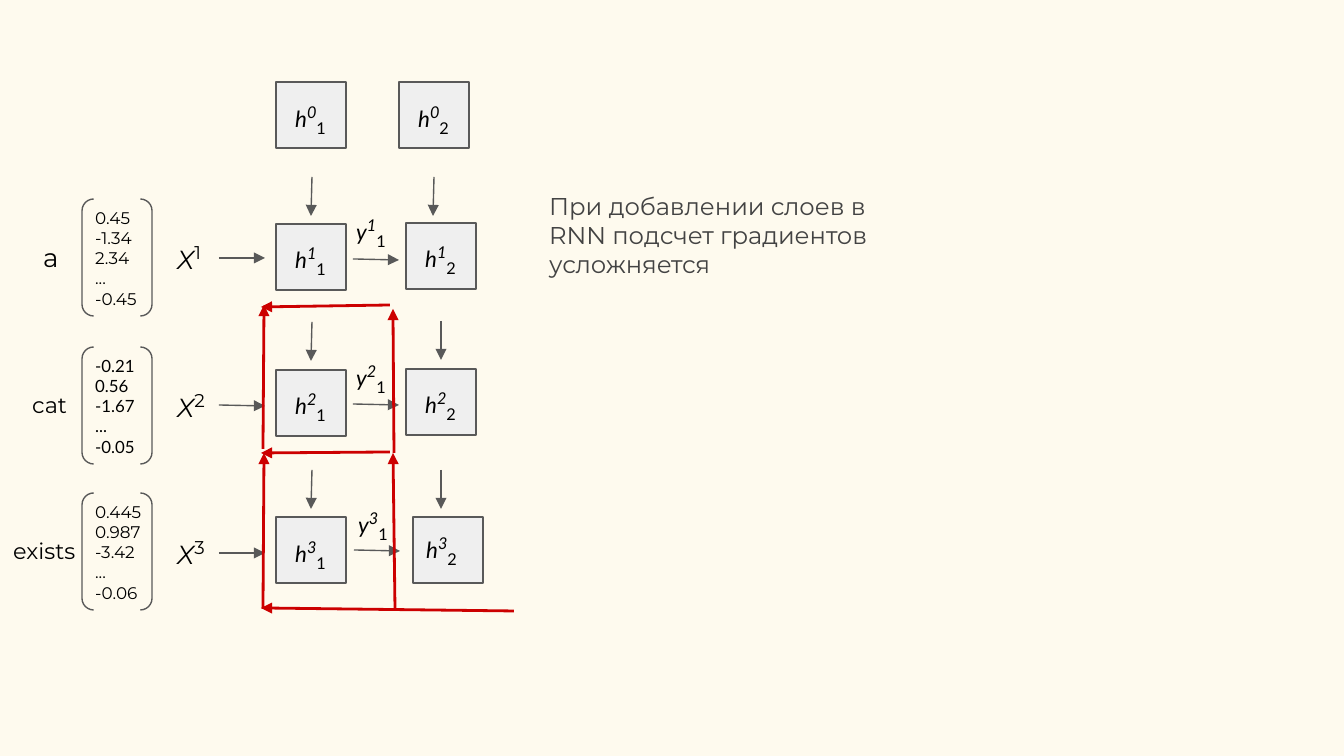
import pptx
import pptx.dml.color
import pptx.enum.shapes
import pptx.oxml
import pptx.oxml.ns
import pptx.util

PX = 914400 / 134.4
COLORS = {
    "background": "FEFAEE",
    "cell": "EFEFEF",
    "outline": "595959",
    "gradient": "CC0000",
    "text": "000000",
    "comment": "434343",
}
SHAPES = pptx.enum.shapes.MSO_SHAPE
CELL_WIDTH, CELL_HEIGHT = 70, 66

# word, its box, its size, vector, vector font, bracket top, top of X
INPUTS = [
    ("a", (30, 228, 60, 59), 14, ["0.45", "-1.34", "2.34", "...", "-0.45"], "Montserrat", 199, 224),
    ("cat", (19, 378, 118, 54), 12, ["-0.21", "0.56", "-1.67", "...", "-0.05"], "Lato", 347, 372),
    ("exists", (0, 524, 90, 54), 12, ["0.445", "0.987", "-3.42", "...", "-0.06"], "Montserrat", 493, 519),
]
# left and top of each cell, then left and top of its label, by layer and time step
LAYERS = [
    [(276, 82, 282, 86), (276, 224, 282, 227), (276, 370, 282, 373), (276, 517, 282, 521)],
    [(399, 82, 405, 86), (406, 223, 412, 226), (406, 369, 412, 372), (413, 517, 413, 517)],
]
OUTPUT_LABELS = [(343, 199), (343, 345), (345, 492)]
STEP_ARROWS = [
    (312, 177, 311, 216), (312, 322, 311, 361), (312, 470, 311, 509),
    (434, 177, 433, 216), (441, 321, 441, 360), (441, 470, 441, 509),
]
INPUT_ARROWS = [(219, 258, 265, 258), (219, 405, 265, 406), (219, 553, 265, 553)]
LAYER_ARROWS = [(353, 259, 399, 260), (353, 404, 399, 405), (354, 550, 400, 551)]
GRADIENT_ARROWS = [
    (514, 611, 261, 608), (263, 609, 264, 453), (263, 449, 264, 305),
    (394, 453, 393, 309), (395, 609, 393, 453),
    (390, 452, 261, 453), (390, 305, 261, 307),
]


def px(value):
    return pptx.util.Emu(round(value * PX))


def color(name):
    return pptx.dml.color.RGBColor.from_string(COLORS[name])


def add_text(page, place, paragraphs, font="Montserrat", ink="text"):
    """Each paragraph is a list of (text, size, italic, baseline percent)."""
    box = page.shapes.add_textbox(*map(px, place))
    frame = box.text_frame
    frame.word_wrap = True
    frame.margin_left = frame.margin_right = pptx.util.Inches(0.1)
    frame.margin_top = frame.margin_bottom = pptx.util.Inches(0.1)
    for number, spans in enumerate(paragraphs):
        para = frame.add_paragraph() if number else frame.paragraphs[0]
        for text, size, italic, baseline in spans:
            span = para.add_run()
            span.text = text
            span.font.name = font
            span.font.size = pptx.util.Pt(size)
            span.font.italic = italic
            span.font.color.rgb = color(ink)
            if baseline:
                span.font._element.set("baseline", str(baseline * 1000))


def add_symbol(page, place, letter, upper, lower):
    spans = [(letter, 12, True, 0), (str(upper), 15, True, 30), (str(lower), 15, False, -25)]
    add_text(page, place, [spans], font="Lato")


def add_outlined(page, kind, place, fill=None):
    shape = page.shapes.add_shape(kind, *map(px, place))
    shape.shadow.inherit = False
    if fill:
        shape.fill.solid()
        shape.fill.fore_color.rgb = color(fill)
    else:
        shape.fill.background()
    shape.line.color.rgb = color("outline")
    shape.line.width = pptx.util.Pt(0.75)


def add_arrow(page, ends, ink="outline", width=0.75):
    arrow = page.shapes.add_connector(
        pptx.enum.shapes.MSO_CONNECTOR.STRAIGHT, *map(px, ends))
    arrow.line.color.rgb = color(ink)
    arrow.line.width = pptx.util.Pt(width)
    head = pptx.oxml.parse_xml(
        f'<a:tailEnd {pptx.oxml.ns.nsdecls("a")} type="triangle"/>')
    arrow.line._get_or_add_ln().append(head)
    effects = pptx.oxml.parse_xml(f'<a:effectLst {pptx.oxml.ns.nsdecls("a")}/>')
    arrow._element.spPr.append(effects)


def add_input(page, step, word, word_place, size, vector, font, bracket_top, x_top):
    add_text(page, word_place, [[(word, size, False, 0)]])
    add_outlined(page, SHAPES.DOUBLE_BRACKET, (82, bracket_top, 70, 117))
    numbers = [[(number, 9, False, 0)] for number in vector]
    add_text(page, (82, bracket_top - 5, 113, 129), numbers, font=font)
    add_text(page, (164, x_top, 80, 66), [[("X", 14, True, 0), (str(step), 17, False, 30)]])


def add_cell(page, step, layer, left, top, label_left, label_top):
    add_outlined(page, SHAPES.RECTANGLE, (left, top, CELL_WIDTH, CELL_HEIGHT), fill="cell")
    add_symbol(page, (label_left, label_top, 78, 60), "h", step, layer)


def main():
    deck = pptx.Presentation()
    deck.slide_width, deck.slide_height = px(1344), px(756)
    page = deck.slides.add_slide(deck.slide_layouts[6])
    page.background.fill.solid()
    page.background.fill.fore_color.rgb = color("background")

    for step, row in enumerate(INPUTS, 1):
        add_input(page, step, *row)
    for layer, cells in enumerate(LAYERS, 1):
        for step, cell in enumerate(cells):
            add_cell(page, step, layer, *cell)
    for ends in STEP_ARROWS + INPUT_ARROWS + LAYER_ARROWS:
        add_arrow(page, ends)
    for step, (left, top) in enumerate(OUTPUT_LABELS, 1):
        add_symbol(page, (left, top, 90, 60), "y", step, 1)
    for ends in GRADIENT_ARROWS:
        add_arrow(page, ends, ink="gradient", width=1.5)

    comment = "При добавлении слоев в RNN подсчет градиентов усложняется"
    add_text(page, (536, 178, 400, 116), [[(comment, 13, False, 0)]], ink="comment")
    deck.save("out.pptx")


if __name__ == "__main__":
    main()
